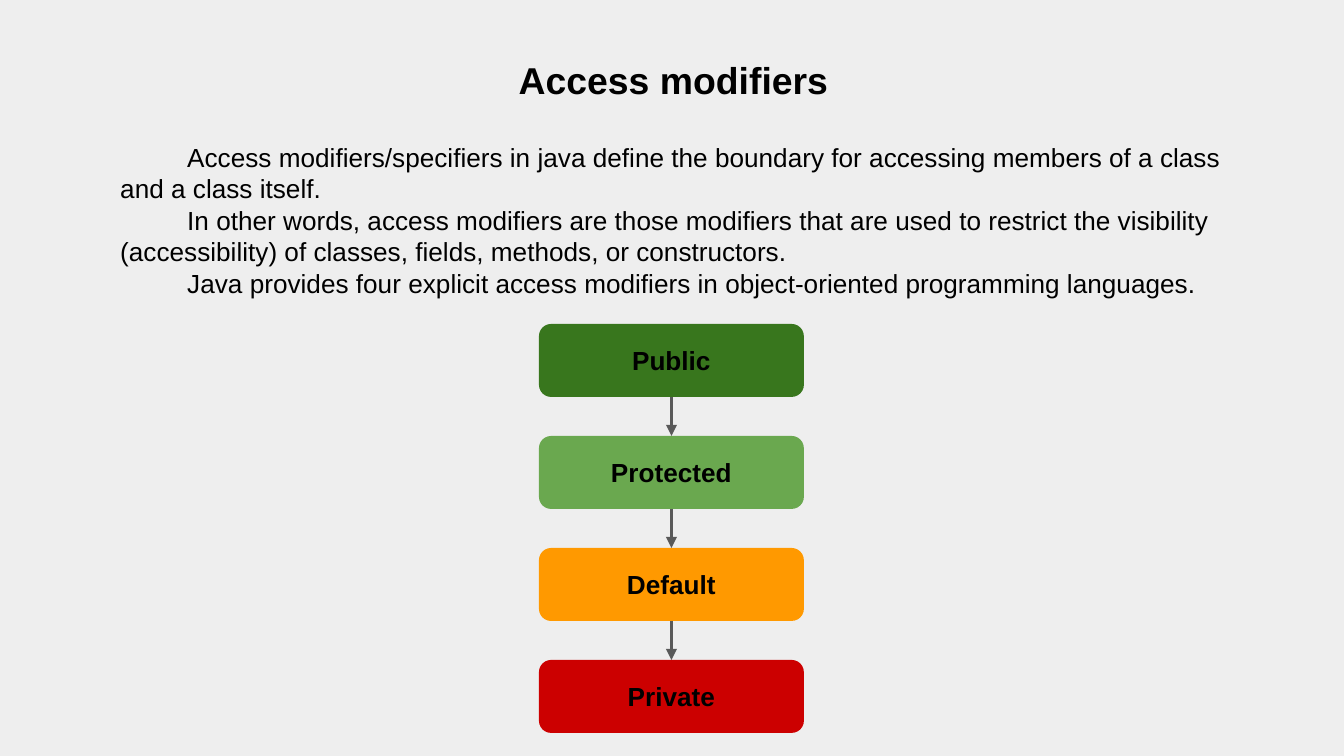
from dataclasses import dataclass

from lxml import etree
from pptx import Presentation, util as u
from pptx.dml.color import RGBColor
from pptx.enum import shapes, text
from pptx.oxml import ns
from pptx.shapes.autoshape import Shape
from pptx.shapes.group import GroupShape
from pptx.slide import Slide
from pptx.text.text import TextFrame

EMU_PER_PX = 914400 / 134.4

BLACK = RGBColor(0x00, 0x00, 0x00)
BACKGROUND = RGBColor(0xEE, 0xEE, 0xEE)
ARROW_GRAY = RGBColor(0x59, 0x59, 0x59)
DARK_GREEN = RGBColor(0x38, 0x76, 0x1D)
LIGHT_GREEN = RGBColor(0x6A, 0xA8, 0x4F)
ORANGE = RGBColor(0xFF, 0x99, 0x00)
RED = RGBColor(0xCC, 0x00, 0x00)

BOX_LEFT, BOX_TOP, BOX_WIDTH, BOX_HEIGHT = 539, 324, 265, 73
BOX_PITCH = 112


@dataclass(frozen=True)
class TextBlock:
    left: int
    top: int
    width: int
    height: int
    paragraphs: tuple[str, ...]
    size: int
    bold: bool = False
    centered: bool = False
    first_line_indent: int = 0


@dataclass(frozen=True)
class Modifier:
    name: str
    fill: RGBColor


TITLE = TextBlock(44, 44, 1259, 73, ("Access modifiers",), 20, bold=True, centered=True)
DESCRIPTION = TextBlock(
    107, 128, 1129, 185,
    (
        "Access modifiers/specifiers in java define the boundary for accessing members "
        "of a class and a class itself.",
        "In other words, access modifiers are those modifiers that are used to restrict "
        "the visibility (accessibility) of classes, fields, methods, or constructors.",
        "Java provides four explicit access modifiers in object-oriented programming languages.",
    ),
    14,
    first_line_indent=67,
)
MODIFIERS = (
    Modifier("Public", DARK_GREEN),
    Modifier("Protected", LIGHT_GREEN),
    Modifier("Default", ORANGE),
    Modifier("Private", RED),
)


def px(length: float) -> u.Emu:
    return u.Emu(round(length * EMU_PER_PX))


def format_text(frame: TextFrame, size: int, bold: bool, centered: bool) -> None:
    frame.word_wrap = True
    frame.margin_left = frame.margin_right = u.Inches(0.1)
    frame.margin_top = frame.margin_bottom = u.Inches(0.1)
    for paragraph in frame.paragraphs:
        paragraph.alignment = text.PP_ALIGN.CENTER if centered else text.PP_ALIGN.LEFT
        for run in paragraph.runs:
            run.font.name = "Arial"
            run.font.size = u.Pt(size)
            run.font.bold = bold
            run.font.color.rgb = BLACK


def add_text_block(slide: Slide, block: TextBlock) -> None:
    shape = slide.shapes.add_textbox(
        px(block.left), px(block.top), px(block.width), px(block.height)
    )
    frame = shape.text_frame
    frame.text = "\n".join(block.paragraphs)
    format_text(frame, block.size, block.bold, block.centered)
    frame.auto_size = text.MSO_AUTO_SIZE.SHAPE_TO_FIT_TEXT
    if block.first_line_indent:
        for paragraph in frame.paragraphs:
            properties = paragraph._p.get_or_add_pPr()
            properties.set("marL", "0")
            properties.set("indent", str(px(block.first_line_indent)))


def add_modifier_box(group: GroupShape, modifier: Modifier, row: int) -> Shape:
    shape = group.shapes.add_shape(
        shapes.MSO_SHAPE.ROUNDED_RECTANGLE,
        px(BOX_LEFT), px(BOX_TOP + row * BOX_PITCH), px(BOX_WIDTH), px(BOX_HEIGHT),
    )
    shape.shadow.inherit = False
    shape.fill.solid()
    shape.fill.fore_color.rgb = modifier.fill
    shape.line.fill.background()
    frame = shape.text_frame
    frame.text = modifier.name
    format_text(frame, 14, bold=True, centered=True)
    frame.vertical_anchor = text.MSO_ANCHOR.MIDDLE
    return shape


def add_arrow(group: GroupShape, upper: Shape, lower: Shape) -> None:
    center = upper.left + upper.width // 2
    connector = group.shapes.add_connector(
        shapes.MSO_CONNECTOR.STRAIGHT,
        center, upper.top + upper.height, center, lower.top,
    )
    connector.begin_connect(upper, 2)
    connector.end_connect(lower, 0)
    connector.line.color.rgb = ARROW_GRAY
    connector.line.width = u.Pt(1.5)
    etree.SubElement(connector.line._get_or_add_ln(), ns.qn("a:tailEnd"), type="triangle")
    etree.SubElement(connector._element.spPr, ns.qn("a:effectLst"))


def main() -> None:
    presentation = Presentation()
    presentation.slide_width = px(1344)
    presentation.slide_height = px(756)
    slide = presentation.slides.add_slide(presentation.slide_layouts[6])
    slide.background.fill.solid()
    slide.background.fill.fore_color.rgb = BACKGROUND

    add_text_block(slide, TITLE)
    add_text_block(slide, DESCRIPTION)

    group = slide.shapes.add_group_shape()
    boxes = [add_modifier_box(group, modifier, row) for row, modifier in enumerate(MODIFIERS)]
    for upper, lower in zip(boxes, boxes[1:]):
        add_arrow(group, upper, lower)

    presentation.save("out.pptx")


if __name__ == "__main__":
    main()
